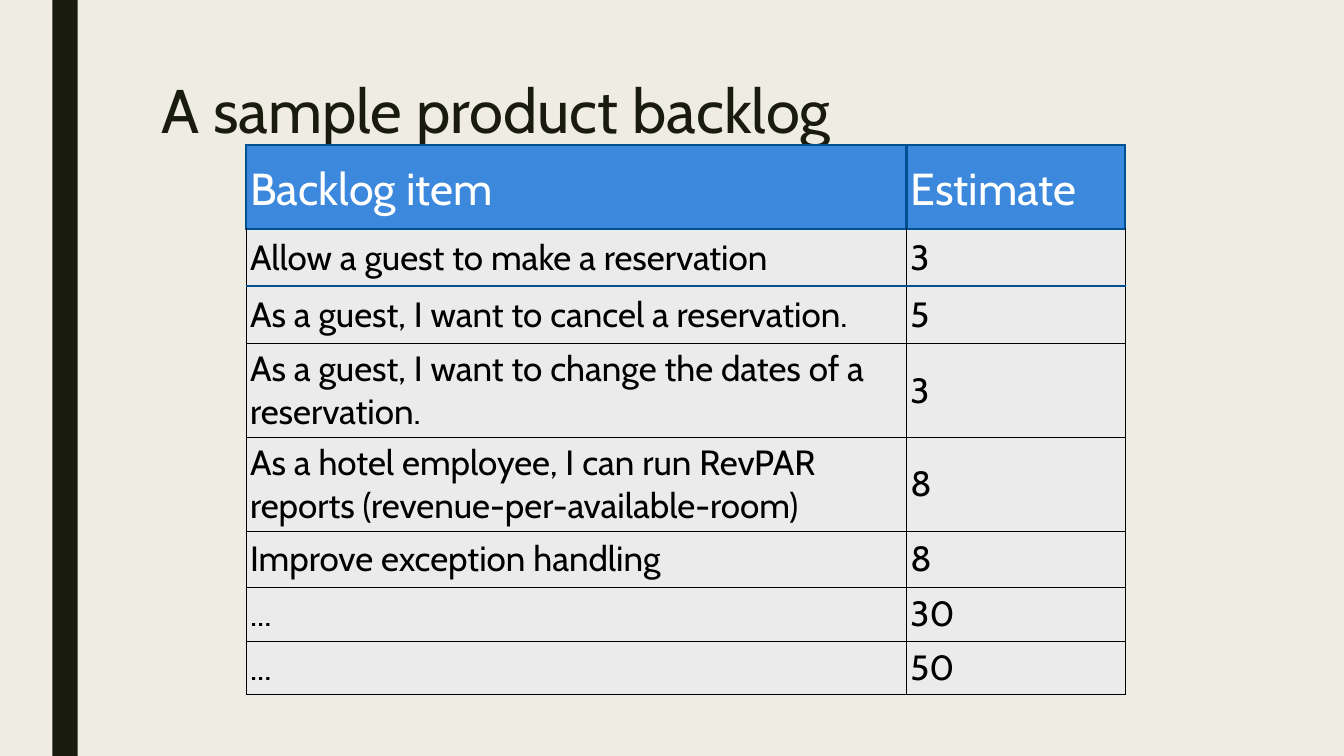
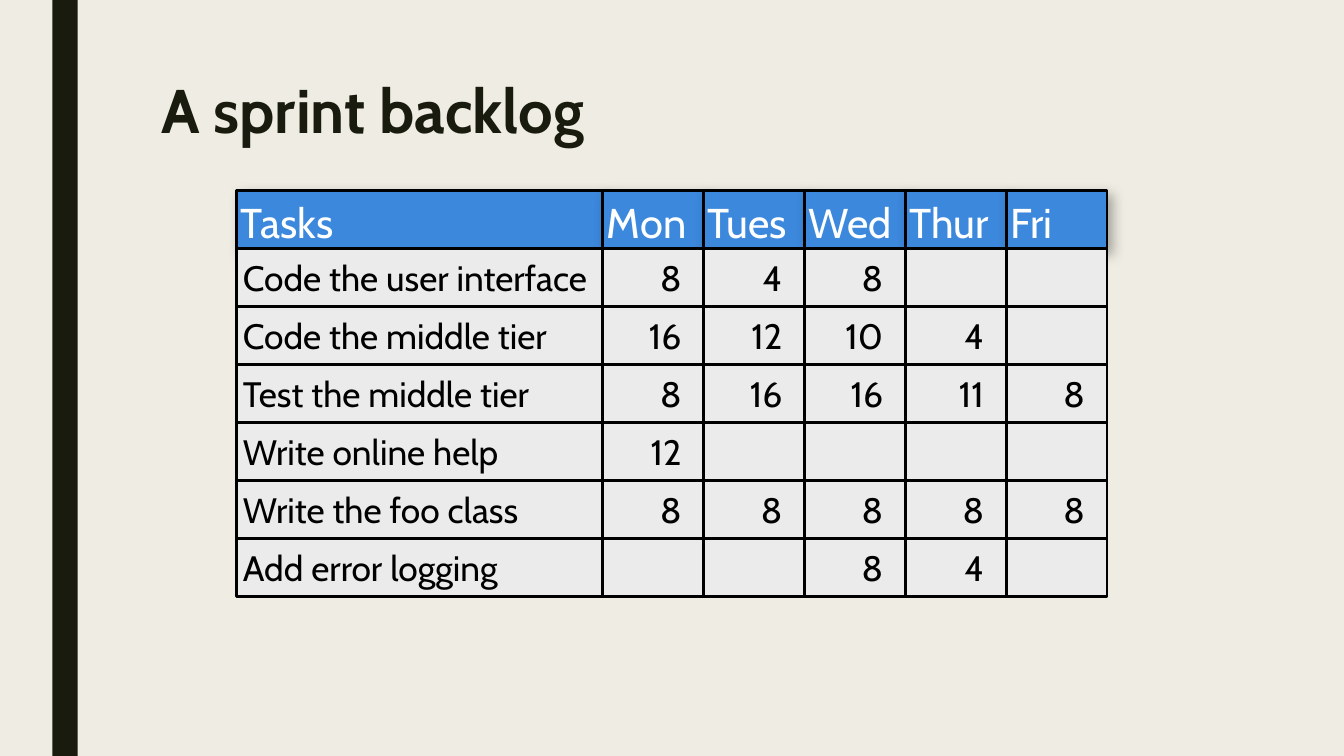
from lxml.etree import SubElement
from pptx import Presentation
from pptx.dml.color import RGBColor
from pptx.enum.shapes import MSO_SHAPE
from pptx.enum.text import MSO_ANCHOR, MSO_AUTO_SIZE, PP_ALIGN
from pptx.oxml.ns import qn
from pptx.util import Inches, Pt

FONT = "Cabin"
COLORS = {
    "paper": "EFEDE3",
    "ink": "191B0E",
    "header": "3C88DC",
    "header_line": "005192",
    "cell": "EBEBEB",
    "white": "FFFFFF",
    "black": "000000",
}

PRODUCT_BACKLOG = [
    ("Backlog item", "Estimate"),
    ("Allow a guest to make a reservation", "3"),
    ("As a guest, I want to cancel a reservation.", "5"),
    ("As a guest, I want to change the dates of a reservation.", "3"),
    ("As a hotel employee, I can run RevPAR reports (revenue-per-available-room)", "8"),
    ("Improve exception handling", "8"),
    ("...", "30"),
    ("...", "50"),
]
PRODUCT_WIDTHS = [6.55, 2.17]
PRODUCT_HEIGHTS = [0.83, 0.57, 0.57, 0.93, 0.93, 0.56, 0.53, 0.53]
BLUE_RULES = (0, 1, 2)

SPRINT_BACKLOG = [
    ("Tasks", "Mon", "Tues", "Wed", "Thur", "Fri"),
    ("Code the user interface", "8", "4", "8", "", ""),
    ("Code the middle tier", "16", "12", "10", "4", ""),
    ("Test the middle tier", "8", "16", "16", "11", "8"),
    ("Write online help", "12", "", "", "", ""),
    ("Write the foo class", "8", "8", "8", "8", "8"),
    ("Add error logging", "", "", "8", "4", ""),
]
SPRINT_LEFT, SPRINT_TOP, SPRINT_HEIGHT = 2.35, 1.89, 4.03
SPRINT_WIDTHS = [3.63] + [1] * 5


def rgb(name):
    return RGBColor.from_string(COLORS[name])


def paint(fill, color):
    fill.solid()
    fill.fore_color.rgb = rgb(color)


def style_font(font, size, color, bold=False):
    font.name, font.size, font.bold = FONT, Pt(size), bold
    font.color.rgb = rgb(color)


def set_margins(area, margin):
    area.margin_left = area.margin_right = Inches(margin)
    area.margin_top = area.margin_bottom = Inches(margin)


def set_up_master(prs):
    """Give every slide the background and the title place."""
    paint(prs.slide_master.background.fill, "paper")
    layout = prs.slide_layouts.get_by_name("Title Only")
    title = layout.placeholders[0]
    title.left, title.top = Inches(1.5), Inches(0.75)
    title.width, title.height = Inches(10.5), Inches(1.62)
    title.text_frame.vertical_anchor = MSO_ANCHOR.TOP
    title.text_frame.auto_size = MSO_AUTO_SIZE.NONE
    return layout


def add_band(prs, slide):
    """Draw the side band and move it to the master, behind the placeholders."""
    band = slide.shapes.add_shape(
        MSO_SHAPE.RECTANGLE, Inches(0.52), 0, Inches(0.25), prs.slide_height)
    band.shadow.inherit = False
    paint(band.fill, "ink")
    band.line.fill.background()
    prs.slide_master.shapes.element.insert(2, band.element)


def add_slide(prs, layout, title, bold=False):
    slide = prs.slides.add_slide(layout)
    slide.shapes.title.text = title
    paragraph = slide.shapes.title.text_frame.paragraphs[0]
    paragraph.alignment = PP_ALIGN.LEFT
    paragraph.line_spacing = 0.89
    style_font(paragraph.font, 44, "ink", bold)
    return slide


def set_borders(cell, borders):
    """Draw the cell's edges; borders maps L, R, T, B to (colour, points)."""
    properties = cell._tc.get_or_add_tcPr()
    for side, (color, width) in borders.items():
        line = SubElement(properties, qn(f"a:ln{side}"), w=str(Pt(width)))
        fill = SubElement(line, qn("a:solidFill"))
        SubElement(fill, qn("a:srgbClr"), val=COLORS[color])


def add_product_table(slide):
    table = slide.shapes.add_table(
        len(PRODUCT_BACKLOG), len(PRODUCT_WIDTHS), Inches(2.44), Inches(1.44),
        Inches(sum(PRODUCT_WIDTHS)), Inches(sum(PRODUCT_HEIGHTS))).table
    table.first_row = table.horz_banding = False
    for column, width in zip(table.columns, PRODUCT_WIDTHS):
        column.width = Inches(width)
    for row, height in zip(table.rows, PRODUCT_HEIGHTS):
        row.height = Inches(height)

    blue, black = ("header_line", 2), ("black", 0.75)
    for r, row in enumerate(PRODUCT_BACKLOG):
        is_header = r == 0
        side = blue if is_header else black
        above, below = (blue if i in BLUE_RULES else black for i in (r, r + 1))
        for c, text in enumerate(row):
            cell = table.cell(r, c)
            cell.text = text
            cell.vertical_anchor = MSO_ANCHOR.MIDDLE
            set_margins(cell, 0.04)
            set_borders(cell, {"L": side, "R": side, "T": above, "B": below})
            paint(cell.fill, "header" if is_header else "cell")
            paragraph = cell.text_frame.paragraphs[0]
            if is_header:
                paragraph.line_spacing = Pt(43)
                style_font(paragraph.font, 32, "white")
            else:
                style_font(paragraph.font, 25, "black")


def add_soft_shadow(shape):
    effects = shape.element.spPr.find(qn("a:effectLst"))
    shadow = SubElement(effects, qn("a:outerShdw"), blurRad=str(Pt(9)),
                        dist=str(Pt(5)), dir=str(45 * 60000),
                        algn="ctr", rotWithShape="0")
    color = SubElement(shadow, qn("a:srgbClr"), val=COLORS["black"])
    SubElement(color, qn("a:alpha"), val="30000")


def add_sprint_box(slide, text, left, top, width, height, is_header, is_number):
    box = slide.shapes.add_shape(
        MSO_SHAPE.RECTANGLE, Inches(left), Inches(top), Inches(width), Inches(height))
    box.shadow.inherit = False
    paint(box.fill, "header" if is_header else "cell")
    box.line.color.rgb = rgb("black")
    box.line.width = Pt(2)
    if is_header:
        add_soft_shadow(box)
    if not text:
        return

    frame = box.text_frame
    frame.text = text
    frame.word_wrap = True
    frame.vertical_anchor = MSO_ANCHOR.MIDDLE
    set_margins(frame, 0.04 if is_header else 0.06)
    paragraph = frame.paragraphs[0]
    paragraph.alignment = PP_ALIGN.LEFT
    if is_header:
        paragraph.line_spacing = Pt(39)
        style_font(paragraph.font, 29.7, "white")
    else:
        style_font(paragraph.font, 25.2, "black")
        if is_number:
            paragraph.alignment = PP_ALIGN.RIGHT
            frame.margin_right = Inches(0.22)


def add_sprint_grid(slide):
    height = SPRINT_HEIGHT / len(SPRINT_BACKLOG)
    for r, row in enumerate(SPRINT_BACKLOG):
        for c, text in enumerate(row):
            add_sprint_box(
                slide, text, SPRINT_LEFT + sum(SPRINT_WIDTHS[:c]),
                SPRINT_TOP + r * height, SPRINT_WIDTHS[c], height,
                is_header=r == 0, is_number=c > 0)


def main():
    prs = Presentation()
    prs.slide_width, prs.slide_height = Inches(13.33), Inches(7.5)
    layout = set_up_master(prs)

    product = add_slide(prs, layout, "A sample product backlog")
    add_band(prs, product)
    add_product_table(product)

    sprint = add_slide(prs, layout, "A sprint backlog", bold=True)
    add_sprint_grid(sprint)

    prs.save("out.pptx")


if __name__ == "__main__":
    main()
